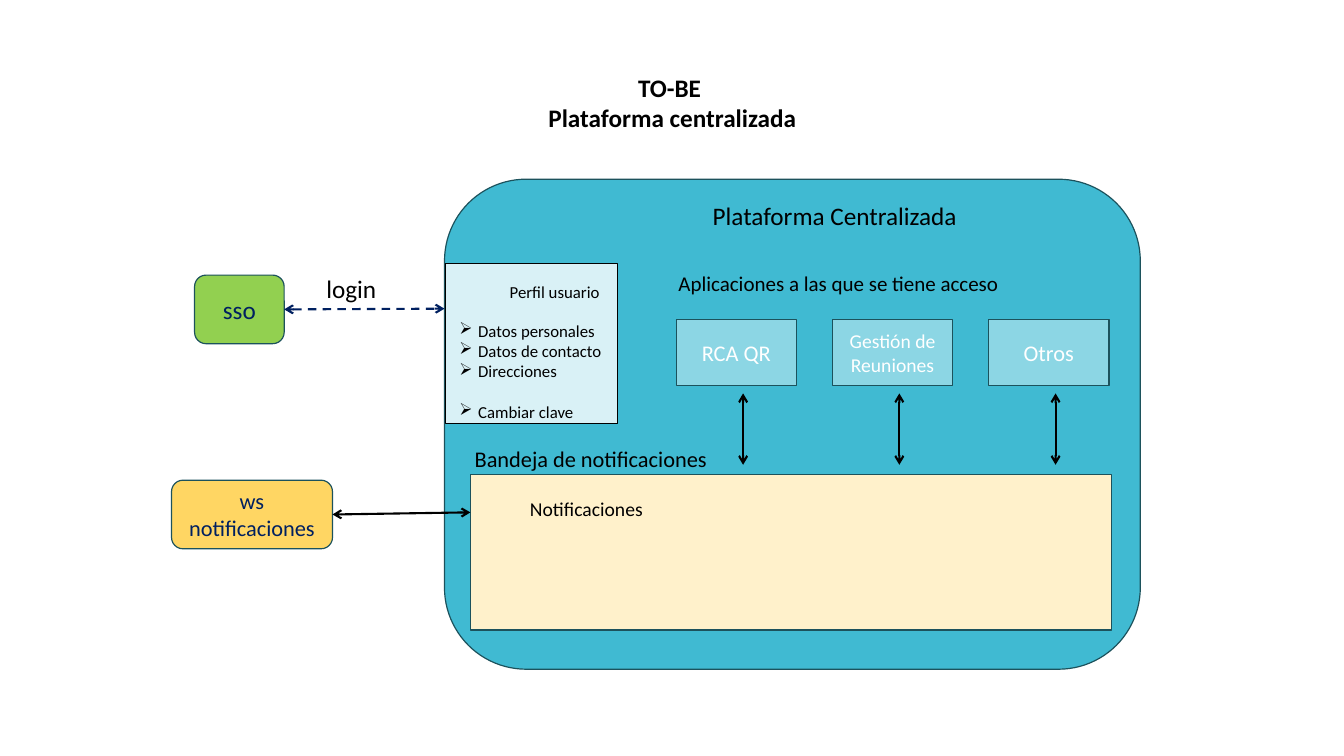
from dataclasses import dataclass
from typing import Optional

from lxml.etree import SubElement
from pptx import Presentation
from pptx.dml.color import RGBColor
from pptx.enum.dml import MSO_LINE
from pptx.enum.shapes import MSO_CONNECTOR, MSO_SHAPE
from pptx.enum.text import MSO_ANCHOR, MSO_AUTO_SIZE, PP_ALIGN
from pptx.oxml.ns import qn
from pptx.util import Pt


@dataclass(frozen=True)
class Theme:
    font: str = "Calibri"
    black: str = "000000"
    white: str = "FFFFFF"
    navy: str = "002060"
    outline: str = "1C525C"
    green: str = "92D050"
    amber: str = "FFD663"
    platform: str = "40BAD2"
    application: str = "8CD6E4"
    profile: str = "D9F1F6"
    inbox: str = "FFF1CB"
    heading: float = 18
    label: float = 16
    section: float = 15
    body: float = 14
    small: float = 12
    border: float = 0.85
    arrow: float = 1.5


THEME = Theme()


@dataclass(frozen=True)
class Area:
    left: float
    top: float
    width: float
    height: float

    def lengths(self) -> tuple:
        return Pt(self.left), Pt(self.top), Pt(self.width), Pt(self.height)


@dataclass(frozen=True)
class Application:
    name: str
    size: float


@dataclass(frozen=True)
class Label:
    text: str
    area: Area
    size: float
    bold: bool = False
    align: Optional[PP_ALIGN] = None
    wrap: bool = True


APPLICATIONS = [
    Application("RCA QR", THEME.label),
    Application("Gestión de\u0020Reuniones", THEME.body),
    Application("Otros", THEME.label),
]
APPLICATION_AREA = Area(483, 228, 86, 47.5)
APPLICATION_STEP = 111.6
ARROW_OFFSET = 4.8

LABELS = [
    Label("TO-BE \nPlataforma centralizada", Area(355, 48, 250.5, 51),
          THEME.heading, bold=True, align=PP_ALIGN.CENTER),
    Label("Plataforma Centralizada", Area(502, 139.5, 196.5, 29), THEME.heading, wrap=False),
    Label("login", Area(226, 191.5, 52, 29), THEME.heading, wrap=False),
    Label("Aplicaciones a las que se tiene acceso", Area(477.5, 190, 265.5, 47.5), THEME.section),
    Label("Bandeja de notificaciones", Area(332, 314.5, 200, 26.5), THEME.label),
    Label("Notificaciones", Area(371.5, 351.5, 119.5, 24.5), THEME.body),
]

PROFILE_ITEMS = "Datos personales\nDatos de contacto\nDirecciones\nCambiar clave"
BULLET_INDENT = 13.5


def write_text(shape, text: str, *, size: float, color: str = THEME.black,
               bold: bool = False, align: Optional[PP_ALIGN] = None,
               bullet: Optional[str] = None) -> None:
    frame = shape.text_frame
    frame.text = text
    for paragraph in frame.paragraphs:
        if align is not None:
            paragraph.alignment = align
        if bullet:
            properties = paragraph._p.get_or_add_pPr()
            properties.set("marL", str(Pt(BULLET_INDENT)))
            properties.set("indent", str(-Pt(BULLET_INDENT)))
            SubElement(properties, qn("a:buChar")).set("char", bullet)
        for run in paragraph.runs:
            run.font.name = THEME.font
            run.font.size = Pt(size)
            run.font.bold = bold
            run.font.color.rgb = RGBColor.from_string(color)


def add_box(shapes, area: Area, fill: str, *, kind: MSO_SHAPE = MSO_SHAPE.RECTANGLE,
            line: str = THEME.outline, line_width: float = THEME.border):
    box = shapes.add_shape(kind, *area.lengths())
    box.shadow.inherit = False
    box.fill.solid()
    box.fill.fore_color.rgb = RGBColor.from_string(fill)
    box.line.color.rgb = RGBColor.from_string(line)
    box.line.width = Pt(line_width)
    box.text_frame.word_wrap = True
    box.text_frame.vertical_anchor = MSO_ANCHOR.MIDDLE
    return box


def add_text_box(shapes, area: Area, *, wrap: bool = True):
    text_box = shapes.add_textbox(*area.lengths())
    text_box.text_frame.word_wrap = wrap
    text_box.text_frame.auto_size = MSO_AUTO_SIZE.SHAPE_TO_FIT_TEXT
    return text_box


def add_double_arrow(shapes, start: tuple, end: tuple, *,
                     color: str = THEME.black, dashed: bool = False):
    connector = shapes.add_connector(
        MSO_CONNECTOR.STRAIGHT, *(Pt(value) for value in start + end))
    connector.line.color.rgb = RGBColor.from_string(color)
    connector.line.width = Pt(THEME.arrow)
    if dashed:
        connector.line.dash_style = MSO_LINE.DASH
    properties = connector._element.spPr
    for tag in ("a:headEnd", "a:tailEnd"):
        SubElement(properties.find(qn("a:ln")), qn(tag)).set("type", "arrow")
    SubElement(properties, qn("a:effectLst"))
    return connector


def add_applications(shapes) -> None:
    base = APPLICATION_AREA
    for index, application in enumerate(APPLICATIONS):
        left = base.left + index * APPLICATION_STEP
        box = add_box(shapes, Area(left, base.top, base.width, base.height), THEME.application)
        write_text(box, application.name, size=application.size,
                   color=THEME.white, align=PP_ALIGN.CENTER)
        middle = left + base.width / 2 + ARROW_OFFSET
        add_double_arrow(shapes, (middle, 281), (middle, 332))


def add_profile(shapes) -> None:
    group = shapes.add_group_shape().shapes
    add_box(group, Area(318, 188, 123, 114.5), THEME.profile, line=THEME.black, line_width=0.75)
    items = add_text_box(group, Area(321, 225.5, 119.5, 80))
    write_text(items, PROFILE_ITEMS, size=THEME.small, bullet="➢")
    items.text_frame.paragraphs[-1].space_before = Pt(14.6)
    title = add_text_box(group, Area(357, 198, 90.5, 21.5))
    write_text(title, "Perfil usuario", size=THEME.small)


def main() -> None:
    presentation = Presentation()
    presentation.slide_width, presentation.slide_height = Pt(960), Pt(540)
    slide = presentation.slides.add_slide(presentation.slide_layouts[6])
    shapes = slide.shapes

    # Platform and its notification tray
    add_box(shapes, Area(317.5, 128, 497, 350), THEME.platform, kind=MSO_SHAPE.ROUNDED_RECTANGLE)
    add_box(shapes, Area(336, 339, 458, 111), THEME.inbox)

    # External services
    sso = add_box(shapes, Area(139, 196.5, 64, 49), THEME.green, kind=MSO_SHAPE.ROUNDED_RECTANGLE)
    write_text(sso, "sso", size=THEME.heading, color=THEME.navy, align=PP_ALIGN.CENTER)
    notifier = add_box(shapes, Area(122.5, 343, 115, 49), THEME.amber,
                       kind=MSO_SHAPE.ROUNDED_RECTANGLE)
    write_text(notifier, "ws\nnotificaciones", size=THEME.label, color=THEME.navy,
               align=PP_ALIGN.CENTER)

    # Links from the services to the platform
    login = add_double_arrow(shapes, (203, 221), (317.5, 220.5), color=THEME.navy, dashed=True)
    login.begin_connect(sso, 3)
    notices = add_double_arrow(shapes, (237.5, 367.5), (336, 366))
    notices.begin_connect(notifier, 3)

    # Applications, user profile and labels
    add_applications(shapes)
    add_profile(shapes)
    for label in LABELS:
        text_box = add_text_box(shapes, label.area, wrap=label.wrap)
        write_text(text_box, label.text, size=label.size, bold=label.bold, align=label.align)

    presentation.save("out.pptx")


if __name__ == "__main__":
    main()
